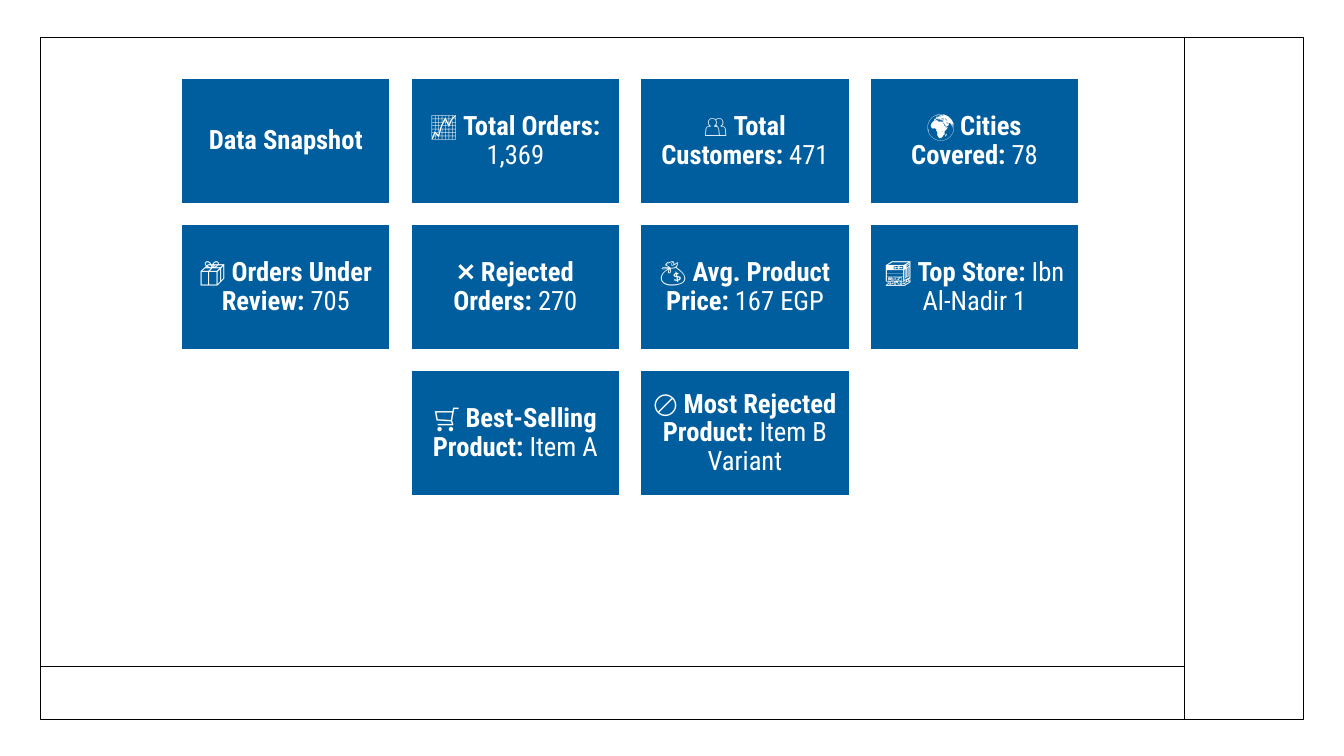
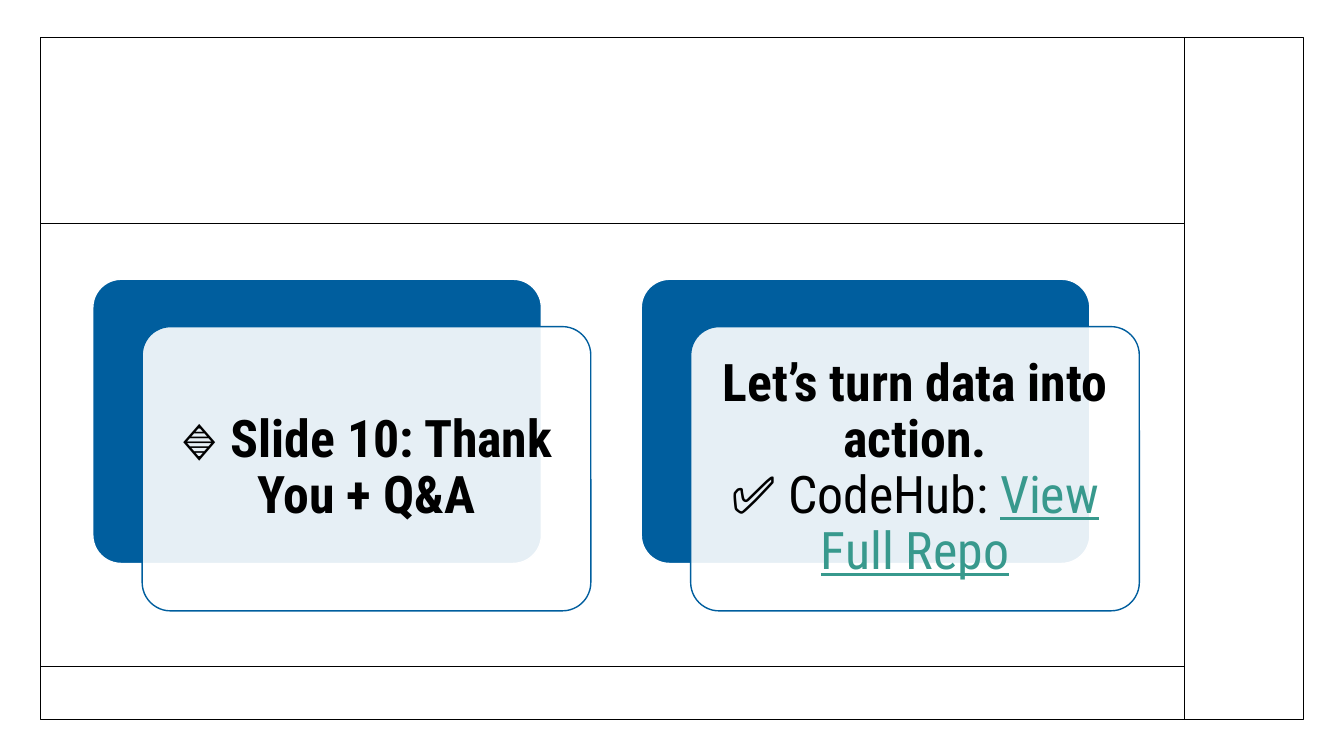
from dataclasses import dataclass

from lxml import etree
from pptx import Presentation
from pptx import util as u
from pptx.dml.color import RGBColor
from pptx.enum import shapes, text
from pptx.oxml.ns import qn


@dataclass(frozen=True)
class Theme:
    font: str = "Roboto Condensed"
    blue: str = "005E9E"
    white: str = "FFFFFF"
    black: str = "000000"
    link: str = "38998D"
    tile_size: int = 19
    card_size: int = 37
    line_width: int = 1
    line_spacing: float = 0.9


THEME = Theme()
WIDTH, HEIGHT = 13.33, 7.5

# Frame shared by the slides
FRAME_LEFT, FRAME_TOP, FRAME_WIDTH, FRAME_HEIGHT = 0.4, 0.37, 12.53, 6.77
SIDEBAR_X, FOOTER_Y, HEADER_Y = 11.75, 6.61, 2.22

# Tile grid: height and gap follow from the tile width
GRID_LEFT, GRID_TOP, COLUMNS = 1.8, 0.78, 4
TILE_WIDTH = 2.07
TILE_HEIGHT, TILE_GAP = 0.6 * TILE_WIDTH, 0.1 * TILE_WIDTH

# Layered cards
CARD_LEFT, CARD_TOP, CARD_WIDTH, CARD_HEIGHT = 0.92, 2.77, 4.45, 2.82
CARD_PITCH, CARD_SHIFT_X, CARD_SHIFT_Y = 5.44, 0.49, 0.47

# Each tile: symbol, bold label, value
TILES = [
    ("", "Data Snapshot", ""),
    ("📈 ", "Total Orders:", " 1,369"),
    ("👥 ", "Total Customers:", " 471"),
    ("🌍 ", "Cities Covered:", " 78"),
    ("📦 ", "Orders Under Review:", " 705"),
    ("❌ ", "Rejected Orders:", " 270"),
    ("💰 ", "Avg. Product Price:", " 167 EGP"),
    ("🏬 ", "Top Store:", " Ibn Al-Nadir 1"),
    ("🛒 ", "Best-Selling Product:", " Item A"),
    ("🚫 ", "Most Rejected Product:", " Item B Variant"),
]


@dataclass(frozen=True)
class Span:
    words: str
    bold: bool = False
    linked: bool = False
    break_after: bool = False


CARDS = [
    [Span("🔹 Slide 10: Thank You + Q&A", bold=True)],
    [
        Span("Let’s turn data into action.", bold=True, break_after=True),
        Span("✅ CodeHub: "),
        Span("View Full Repo", linked=True),
    ],
]


def color(value):
    return RGBColor.from_string(value)


def add_box(page, left, top, width, height, fill, line, rounded=False):
    kind = shapes.MSO_SHAPE.ROUNDED_RECTANGLE if rounded else shapes.MSO_SHAPE.RECTANGLE
    box = page.shapes.add_shape(kind, *map(u.Inches, (left, top, width, height)))
    box.shadow.inherit = False
    if rounded:
        box.adjustments[0] = 0.1
    if fill:
        box.fill.solid()
        box.fill.fore_color.rgb = color(fill)
    else:
        box.fill.background()
    box.line.color.rgb = color(line)
    box.line.width = u.Pt(THEME.line_width)
    return box


def set_opacity(box, percent):
    fill_color = box.fill._xPr.find(qn("a:solidFill"))[0]
    etree.SubElement(fill_color, qn("a:alpha"), val=str(percent * 1000))


def add_rule(page, x1, y1, x2, y2):
    rule = page.shapes.add_connector(
        shapes.MSO_CONNECTOR.STRAIGHT, *map(u.Inches, (x1, y1, x2, y2)))
    rule.line.color.rgb = color(THEME.black)
    rule.line.width = u.Pt(THEME.line_width)
    etree.SubElement(rule._element.spPr, qn("a:effectLst"))


def write_spans(box, spans, size, ink, inset):
    """Fill a box with one centred paragraph of differently styled spans."""
    frame = box.text_frame
    frame.word_wrap = True
    frame.vertical_anchor = text.MSO_ANCHOR.MIDDLE
    frame.margin_left = frame.margin_right = u.Inches(inset)
    frame.margin_top = frame.margin_bottom = u.Inches(inset)
    para = frame.paragraphs[0]
    para.alignment = text.PP_ALIGN.CENTER
    para.line_spacing = THEME.line_spacing
    for span in spans:
        run = para.add_run()
        run.text = span.words
        run.font.name = THEME.font
        run.font.size = u.Pt(size)
        run.font.bold = span.bold
        run.font.underline = span.linked
        run.font.color.rgb = color(THEME.link if span.linked else ink)
        if span.break_after:
            para.add_line_break()


def add_page(deck, with_header=False):
    """Add a blank slide with the shared frame and its dividing rules."""
    page = deck.slides.add_slide(deck.slide_layouts[6])
    add_box(page, FRAME_LEFT, FRAME_TOP, FRAME_WIDTH, FRAME_HEIGHT, None, THEME.black)
    add_rule(page, SIDEBAR_X, FRAME_TOP, SIDEBAR_X, FRAME_TOP + FRAME_HEIGHT)
    for y in [FOOTER_Y] + [HEADER_Y] * with_header:
        add_rule(page, FRAME_LEFT, y, SIDEBAR_X, y)
    return page


def add_tiles(page, tiles):
    """Lay the tiles out in rows, centring a last row that is not full."""
    for start in range(0, len(tiles), COLUMNS):
        row = tiles[start:start + COLUMNS]
        first_column = (COLUMNS - len(row)) / 2
        top = GRID_TOP + start // COLUMNS * (TILE_HEIGHT + TILE_GAP)
        for column, (symbol, label, value) in enumerate(row):
            left = GRID_LEFT + (first_column + column) * (TILE_WIDTH + TILE_GAP)
            tile = add_box(page, left, top, TILE_WIDTH, TILE_HEIGHT,
                           THEME.blue, THEME.white)
            spans = [Span(symbol), Span(label, bold=True), Span(value)]
            write_spans(tile, [span for span in spans if span.words],
                        THEME.tile_size, THEME.white, 0.08)


def add_card(page, left, spans):
    """Add a blue card with a translucent text card shifted over it."""
    add_box(page, left, CARD_TOP, CARD_WIDTH, CARD_HEIGHT,
            THEME.blue, THEME.white, rounded=True)
    front = add_box(page, left + CARD_SHIFT_X, CARD_TOP + CARD_SHIFT_Y,
                    CARD_WIDTH, CARD_HEIGHT, THEME.white, THEME.blue, rounded=True)
    set_opacity(front, 90)
    write_spans(front, spans, THEME.card_size, THEME.black, 0.15)


def main():
    deck = Presentation()
    deck.slide_width, deck.slide_height = u.Inches(WIDTH), u.Inches(HEIGHT)
    add_tiles(add_page(deck), TILES)
    closing = add_page(deck, with_header=True)
    for index, spans in enumerate(CARDS):
        add_card(closing, CARD_LEFT + index * CARD_PITCH, spans)
    deck.save("out.pptx")


if __name__ == "__main__":
    main()
